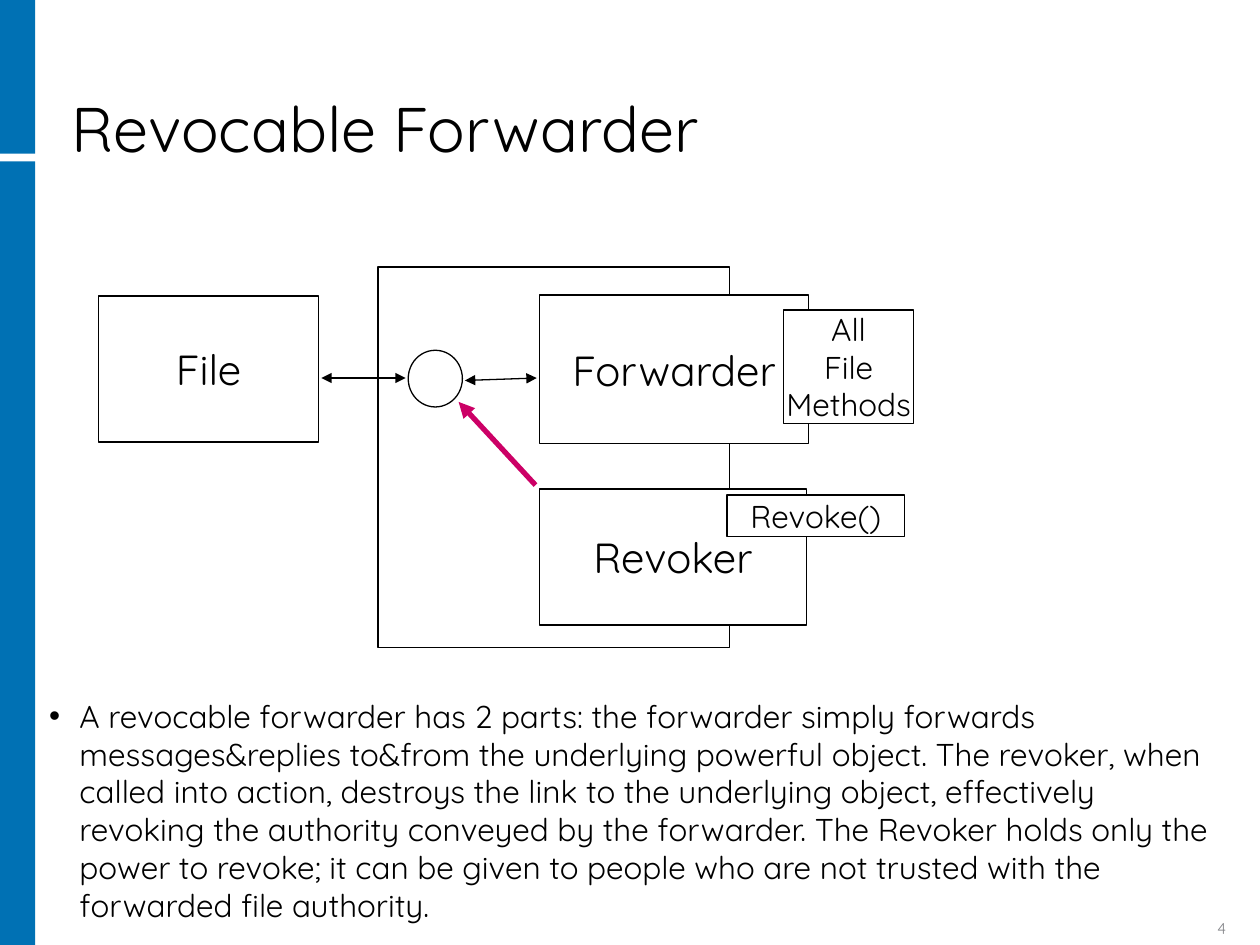
from dataclasses import dataclass

from lxml import etree
from pptx import Presentation
from pptx.dml.color import RGBColor
from pptx.enum import shapes, text
from pptx.oxml import ns
from pptx.util import Inches, Pt


@dataclass(frozen=True)
class Theme:
    font: str = "Quicksand"
    ink: str = "000000"
    paper: str = "FFFFFF"
    sidebar: str = "0071B4"
    revoke: str = "CC0066"
    muted: str = "848589"
    title: float = 36
    node: float = 24
    body: float = 18
    footer: float = 9
    outline: float = 0.75
    bold_line: float = 3


@dataclass(frozen=True)
class Box:
    left: float
    top: float
    width: float
    height: float
    label: str = ""
    size: float = 0
    kind: shapes.MSO_SHAPE = shapes.MSO_SHAPE.RECTANGLE


@dataclass(frozen=True)
class Arrow:
    start: tuple[float, float]
    end: tuple[float, float]
    color: str
    width: float
    both_ends: bool = True


THEME = Theme()

SIDEBAR = [Box(0, 1.28, 0.28, 6.22), Box(0, 0, 0.28, 1.22)]

BOXES = [
    Box(3, 2.12, 2.79, 3.02),
    Box(0.78, 2.35, 1.75, 1.16, "File", THEME.node),
    Box(4.28, 2.34, 2.14, 1.18, "Forwarder", THEME.node),
    Box(4.28, 3.88, 2.12, 1.08, "Revoker", THEME.node),
    Box(3.24, 2.78, 0.43, 0.45, kind=shapes.MSO_SHAPE.OVAL),
    Box(5.77, 3.93, 1.41, 0.33, "Revoke()", THEME.body),
    Box(6.22, 2.46, 1.03, 0.9, "All\nFile\nMethods", THEME.body),
]

ARROWS = [
    Arrow((2.55, 3), (3.22, 3), THEME.ink, THEME.outline),
    Arrow((3.69, 3.02), (4.26, 3), THEME.ink, THEME.outline),
    Arrow((4.25, 3.85), (3.64, 3.19), THEME.revoke, THEME.bold_line, False),
]

EXPLANATION = (
    "A revocable forwarder has 2 parts: the forwarder simply forwards "
    "messages&replies to&from the underlying powerful object. The revoker, when "
    "called into action, destroys the link to the underlying object, effectively "
    "revoking the authority conveyed by the forwarder. The Revoker holds only the "
    "power to revoke; it can be given to people who are not trusted with the "
    "forwarded file authority."
)


def rgb(color: str) -> RGBColor:
    return RGBColor.from_string(color)


def place(sp, left: float, top: float, width: float, height: float) -> None:
    sp.left, sp.top = Inches(left), Inches(top)
    sp.width, sp.height = Inches(width), Inches(height)


def write(sp, content: str, size: float, align, anchor,
          color: str = THEME.ink, wrap: bool = True) -> None:
    tf = sp.text_frame
    tf.text = content
    tf.word_wrap = wrap
    tf.auto_size = text.MSO_AUTO_SIZE.NONE
    tf.vertical_anchor = anchor
    for p in tf.paragraphs:
        p.alignment = align
        for r in p.runs:
            r.font.name = THEME.font
            r.font.size = Pt(size)
            r.font.color.rgb = rgb(color)


def draw_box(slide, box: Box, fill: str, outlined: bool = True) -> None:
    sp = slide.shapes.add_shape(box.kind, Inches(box.left), Inches(box.top),
                                Inches(box.width), Inches(box.height))
    sp.shadow.inherit = False
    sp.fill.solid()
    sp.fill.fore_color.rgb = rgb(fill)
    if outlined:
        sp.line.color.rgb = rgb(THEME.ink)
        sp.line.width = Pt(THEME.outline)
    else:
        sp.line.fill.background()
    if box.label:
        write(sp, box.label, box.size, text.PP_ALIGN.CENTER,
              text.MSO_ANCHOR.MIDDLE, wrap=False)


def draw_arrow(slide, arrow: Arrow) -> None:
    points = [Inches(v) for v in (*arrow.start, *arrow.end)]
    cx = slide.shapes.add_connector(shapes.MSO_CONNECTOR.STRAIGHT, *points)
    cx.line.color.rgb = rgb(arrow.color)
    cx.line.width = Pt(arrow.width)
    ln = cx.line._get_or_add_ln()
    for end in ("headEnd", "tailEnd") if arrow.both_ends else ("tailEnd",):
        etree.SubElement(ln, ns.qn(f"a:{end}"), type="triangle")
    etree.SubElement(cx._element.spPr, ns.qn("a:effectLst"))


def add_bullet(p, indent: float) -> None:
    pPr = p._p.get_or_add_pPr()
    pPr.set("marL", str(Inches(indent)))
    pPr.set("indent", str(-Inches(indent)))
    bullet_color = etree.SubElement(pPr, ns.qn("a:buClr"))
    etree.SubElement(bullet_color, ns.qn("a:srgbClr"), val=THEME.ink)
    etree.SubElement(pPr, ns.qn("a:buFont"), typeface="Arial")
    etree.SubElement(pPr, ns.qn("a:buChar"), char="•")


def main() -> None:
    prs = Presentation()
    prs.slide_width, prs.slide_height = Inches(10), Inches(7.5)
    s = prs.slides.add_slide(prs.slide_layouts[1])

    for bar in SIDEBAR:
        draw_box(s, bar, THEME.sidebar, outlined=False)

    title = s.shapes.title
    place(title, 0.47, 0.12, 8.34, 1.25)
    write(title, "Revocable Forwarder", THEME.title, text.PP_ALIGN.LEFT,
          text.MSO_ANCHOR.BOTTOM)
    title.text_frame.paragraphs[0].line_spacing = 0.9

    for box in BOXES:
        draw_box(s, box, THEME.paper)
    for arrow in ARROWS:
        draw_arrow(s, arrow)

    body = s.placeholders[1]
    place(body, 0.29, 5.48, 9.53, 1.9)
    write(body, EXPLANATION, THEME.body, text.PP_ALIGN.LEFT, text.MSO_ANCHOR.TOP)
    p = body.text_frame.paragraphs[0]
    p.space_before = Pt(6.8)
    add_bullet(p, 0.24)

    number = s.shapes.add_textbox(Inches(9), Inches(7.25), Inches(0.83), Inches(0.24))
    write(number, "4", THEME.footer, text.PP_ALIGN.RIGHT, text.MSO_ANCHOR.BOTTOM,
          THEME.muted)

    prs.save("out.pptx")


if __name__ == "__main__":
    main()
